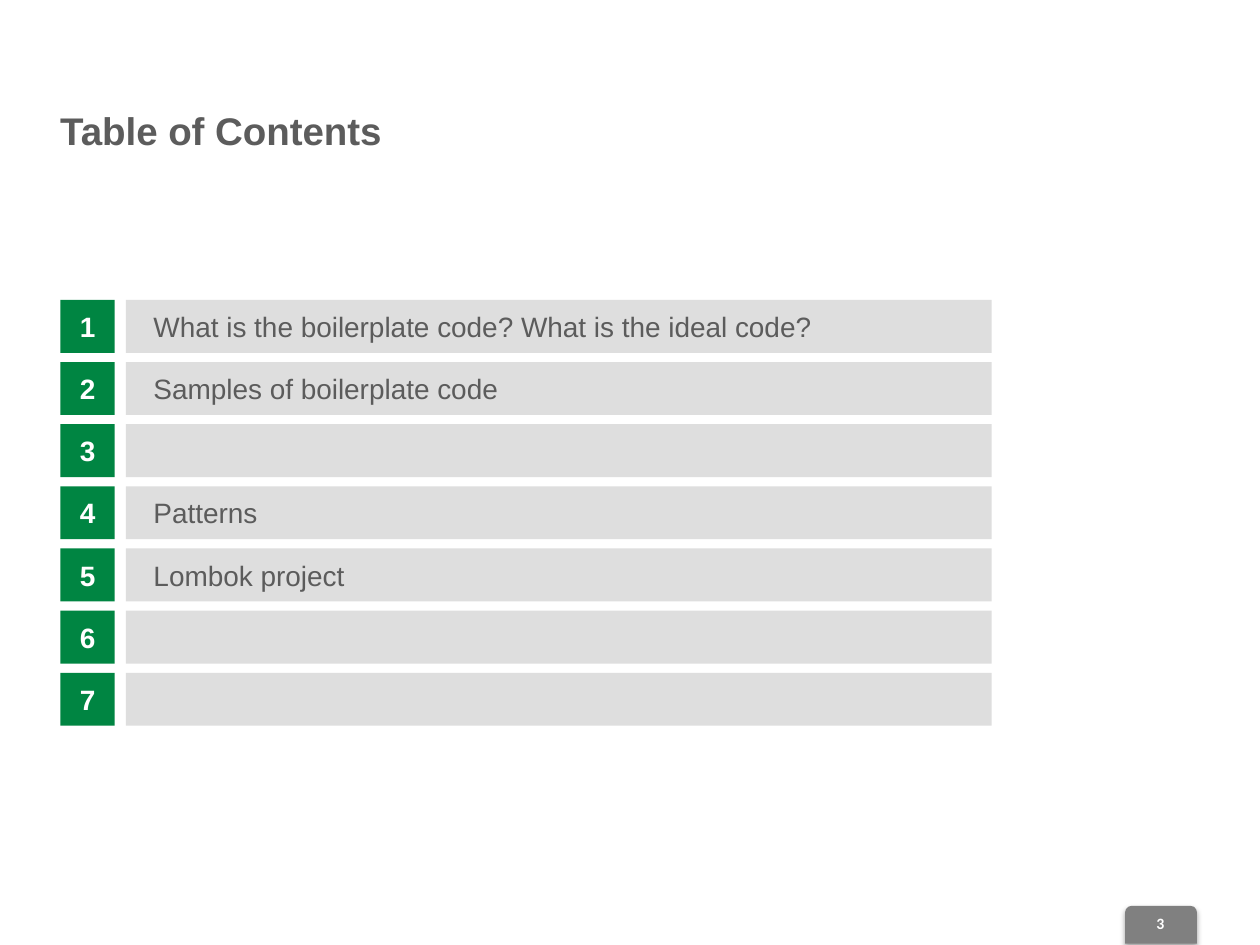
from lxml import etree
from pptx import Presentation
from pptx.dml.color import RGBColor
from pptx.enum.shapes import MSO_SHAPE
from pptx.enum.text import MSO_ANCHOR, PP_ALIGN
from pptx.oxml.ns import qn
from pptx.util import Inches, Pt

RECTANGLE = MSO_SHAPE.RECTANGLE
ROUNDED_TOP = MSO_SHAPE.ROUND_2_SAME_RECTANGLE
TOP, MIDDLE = MSO_ANCHOR.TOP, MSO_ANCHOR.MIDDLE
LEFT, CENTER = PP_ALIGN.LEFT, PP_ALIGN.CENTER

GREEN = RGBColor(0x00, 0x85, 0x42)
LIGHT_GRAY = RGBColor(0xDE, 0xDE, 0xDE)
MID_GRAY = RGBColor(0x80, 0x80, 0x80)
DARK_GRAY = RGBColor(0x5C, 0x5C, 0x5C)
WHITE = RGBColor(0xFF, 0xFF, 0xFF)

TITLE = {"name": "Arial", "size": Pt(22), "bold": True}
NUMBER = {"name": "Arial", "size": Pt(16), "bold": True}
TOPIC = {"name": "Arial", "size": Pt(16), "bold": False}
PAGE = {"name": "Calibri", "size": Pt(9), "bold": True}

TOPICS = [
    "What is the boilerplate code? What is the ideal code?",
    "Samples of boilerplate code",
    "",
    "Patterns",
    "Lombok project",
    "",
    "",
]
FIRST_ROW, LAST_ROW, ROW_HEIGHT = 2.38, 5.34, 0.42
ROW_PITCH = (LAST_ROW - FIRST_ROW) / (len(TOPICS) - 1)


class ContentsSlide:
    def __init__(self, presentation):
        self.slide = presentation.slides.add_slide(presentation.slide_layouts[6])

    def label(self, holder, text, style, color, align, anchor, indent=0):
        frame = holder.text_frame
        frame.word_wrap = True
        frame.vertical_anchor = anchor
        paragraph = frame.paragraphs[0]
        paragraph.alignment = align
        if indent:
            properties = paragraph._p.get_or_add_pPr()
            properties.set("marL", str(Inches(indent)))
            properties.set("indent", "0")
        run = paragraph.add_run()
        run.text = text
        for attribute, value in style.items():
            setattr(run.font, attribute, value)
        run.font.color.rgb = color

    def text(self, box, text, style, color, align=LEFT, anchor=TOP):
        holder = self.slide.shapes.add_textbox(*map(Inches, box))
        self.label(holder, text, style, color, align, anchor)

    def block(self, box, fill, kind=RECTANGLE):
        block = self.slide.shapes.add_shape(kind, *map(Inches, box))
        block.shadow.inherit = False
        block.fill.solid()
        block.fill.fore_color.rgb = fill
        block.line.fill.background()
        return block

    def page_tab(self, box, fill):
        tab = self.block(box, fill, ROUNDED_TOP)
        effects = tab._element.spPr.find(qn("a:effectLst"))
        shadow = etree.SubElement(
            effects, qn("a:outerShdw"), blurRad=str(Pt(3.1)),
            dist=str(Pt(1.8)), dir="5400000", rotWithShape="0")
        tint = etree.SubElement(shadow, qn("a:srgbClr"), val="000000")
        etree.SubElement(tint, qn("a:alpha"), val="35000")

    def entry(self, number, topic, top):
        badge = self.block((0.48, top, 0.43, ROW_HEIGHT), GREEN)
        self.label(badge, str(number), NUMBER, WHITE, CENTER, MIDDLE)
        bar = self.block((1, top, 6.87, ROW_HEIGHT), LIGHT_GRAY)
        if topic:
            self.label(bar, topic, TOPIC, DARK_GRAY, LEFT, MIDDLE, indent=0.12)


def main():
    presentation = Presentation()
    presentation.slide_width = Inches(10)
    presentation.slide_height = Inches(7.5)
    contents = ContentsSlide(presentation)
    contents.page_tab((8.93, 7.19, 0.57, 0.3), MID_GRAY)
    contents.text((8.92, 7.2, 0.58, 0.25), "3", PAGE, WHITE, CENTER, MIDDLE)
    contents.text((0.38, 0.8, 9, 0.77), "Table of Contents", TITLE, DARK_GRAY)
    for row, topic in enumerate(TOPICS):
        contents.entry(row + 1, topic, FIRST_ROW + row * ROW_PITCH)
    presentation.save("out.pptx")


if __name__ == "__main__":
    main()
